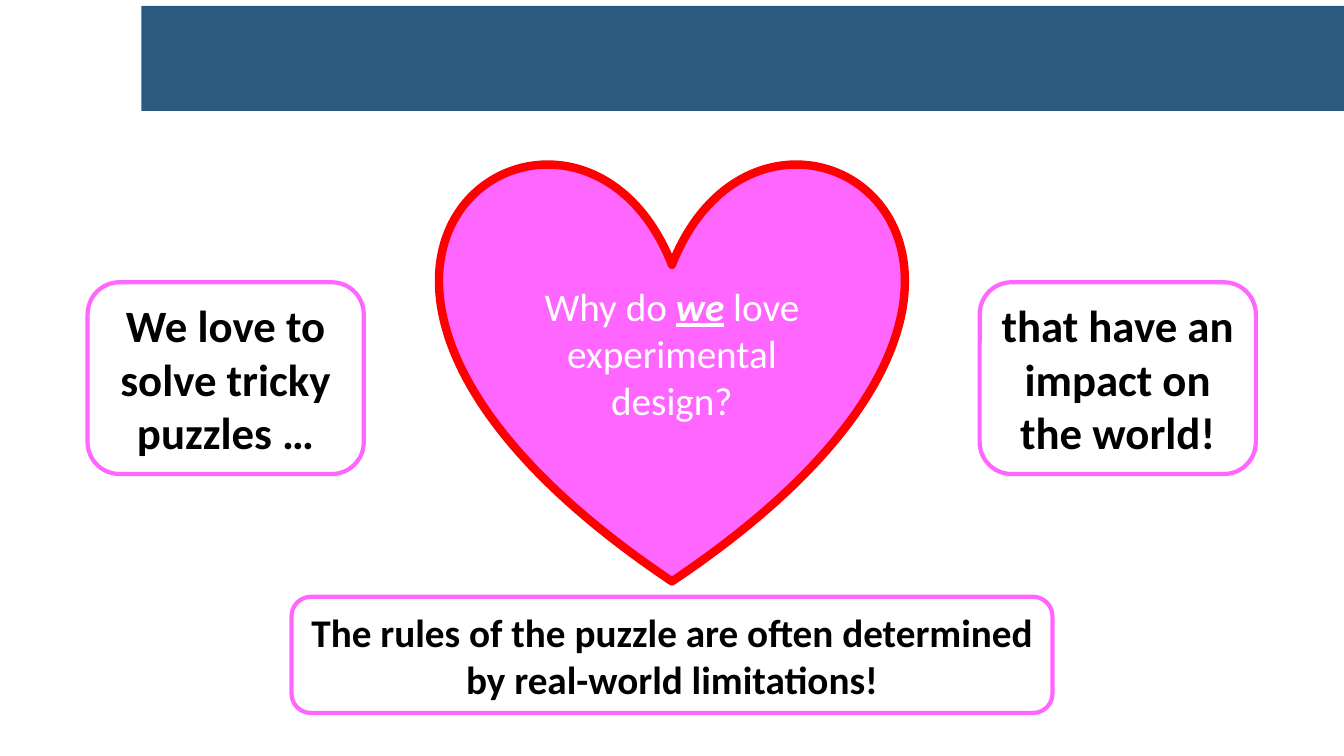
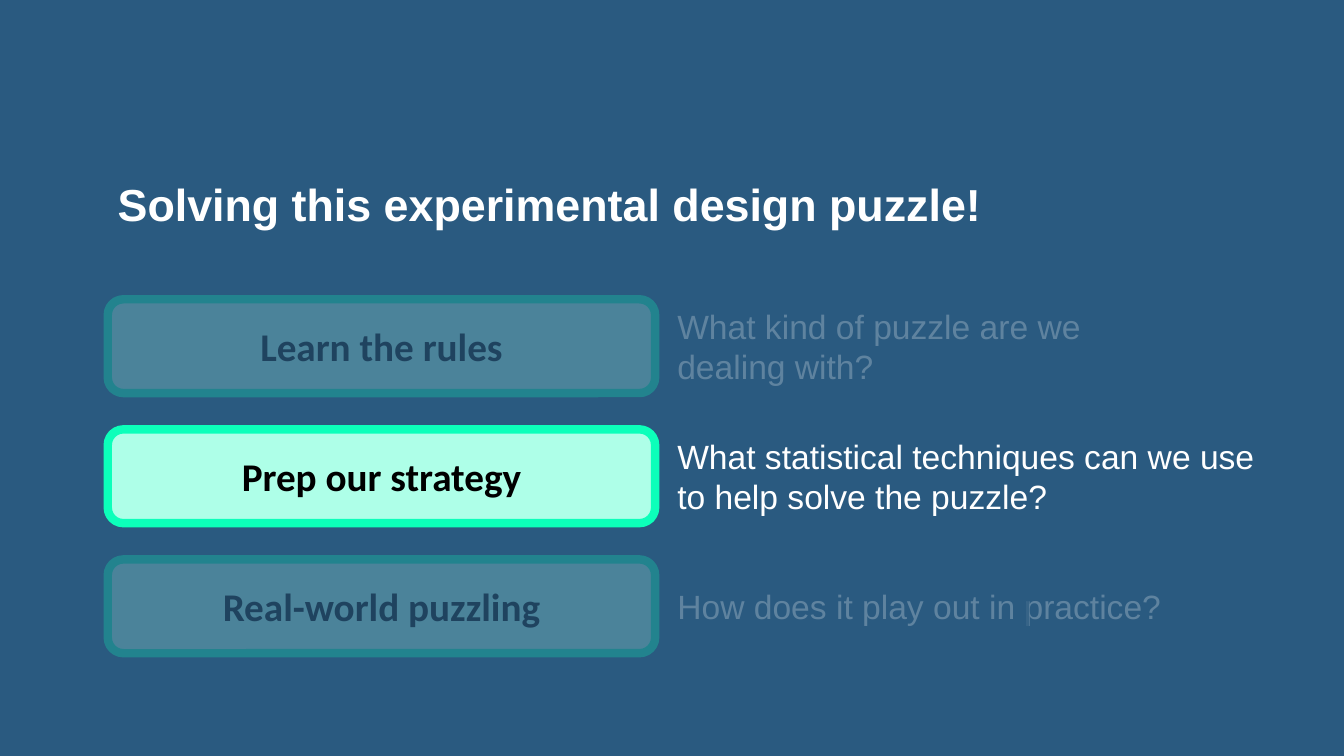
from dataclasses import dataclass

from lxml.etree import SubElement
from pptx import Presentation
from pptx.dml.color import RGBColor
from pptx.enum.shapes import MSO_SHAPE as Preset
from pptx.enum.text import MSO_ANCHOR as Anchor, PP_ALIGN as Align
from pptx.oxml.ns import qn
from pptx.util import Pt


@dataclass(frozen=True)
class Theme:
    blue: str = "2A5A80"
    white: str = "FFFFFF"
    black: str = "000000"
    pink: str = "FF66FF"
    red: str = "FF0000"
    mint: str = "AEFFE8"
    green: str = "0CFFBA"
    body_font: str = "Calibri"
    title_font: str = "Arial"
    large: int = 32
    medium: int = 28
    small: int = 24


theme = Theme()


def add_panel(slide, preset, box, fill=None, line=None, line_width=0):
    panel = slide.shapes.add_shape(preset, *map(Pt, box))
    panel.shadow.inherit = False
    if fill:
        panel.fill.solid()
        panel.fill.fore_color.rgb = RGBColor.from_string(fill)
    else:
        panel.fill.background()
    if line:
        panel.line.color.rgb = RGBColor.from_string(line)
        panel.line.width = Pt(line_width)
    else:
        panel.line.fill.background()
    return panel


def write(shape, runs, size, color, font, bold=False, align=Align.CENTER):
    frame = shape.text_frame
    frame.word_wrap = True
    frame.vertical_anchor = Anchor.MIDDLE
    paragraph = frame.paragraphs[0]
    paragraph.alignment = align
    paragraph.font.size = Pt(size)
    paragraph.font.name = font
    paragraph.font.bold = bold
    paragraph.font.color.rgb = RGBColor.from_string(color)
    for text in runs:
        paragraph.add_run().text = text
    return paragraph


prs = Presentation()
prs.slide_width, prs.slide_height = Pt(960), Pt(540)
blank = prs.slide_layouts[6]

# Slide 1: why we love experimental design
love = prs.slides.add_slide(blank)
add_panel(love, Preset.RECTANGLE, (101, 4.3, 859, 75), theme.blue)

heart = add_panel(love, Preset.HEART, (314.8, 113.8, 330.4, 301.5),
                  theme.pink, theme.red, 6)
question = write(heart, ["Why do ", "we", " love experimental design?"],
                 theme.medium, theme.white, theme.body_font)
emphasis = question.runs[1].font
emphasis.bold = emphasis.italic = emphasis.underline = True

# Reasons around the heart
reasons = [
    ("We love to solve tricky puzzles …", (62.6, 201.6, 197.3, 137), theme.large),
    ("that have an impact on the world!", (699.8, 201.6, 197.3, 137), theme.large),
    ("The rules of the puzzle are often determined by real-world limitations!",
     (208.2, 426.3, 543.6, 83), theme.medium),
]
for reason, box, size in reasons:
    reason_box = add_panel(love, Preset.ROUNDED_RECTANGLE, box, line=theme.pink, line_width=3)
    write(reason_box, [reason], size, theme.black, theme.body_font, bold=True)

# Slide 2: the steps, with the current one highlighted
steps_slide = prs.slides.add_slide(blank)
steps_slide.background.fill.solid()
steps_slide.background.fill.fore_color.rgb = RGBColor.from_string(theme.blue)

title = steps_slide.shapes.add_textbox(Pt(77), Pt(122.4), Pt(813.6), Pt(51))
heading = write(title, ["Solving this experimental design puzzle!"], theme.large,
                theme.white, theme.title_font, bold=True, align=Align.LEFT)
heading.line_spacing = 0.9

# Step boxes and their questions
first_top, row_pitch, step_height = 213.8, 92.9, 67
steps = [
    ("Learn the rules", "What kind of puzzle are we dealing with?", 370),
    ("Prep our strategy", "What statistical techniques can we use to help solve the puzzle?", 420),
    ("Real-world puzzling", "How does it play out in practice?", 370),
]
for row, (step, detail, detail_width) in enumerate(steps):
    top = first_top + row * row_pitch
    step_box = add_panel(steps_slide, Preset.ROUNDED_RECTANGLE,
                         (77, top, 391, step_height), theme.mint, theme.green, 6)
    write(step_box, [step], theme.medium, theme.black, theme.body_font, bold=True)
    detail_box = steps_slide.shapes.add_textbox(
        Pt(483.8), Pt(top + 4), Pt(detail_width), Pt(59))
    frame = detail_box.text_frame
    frame.margin_left = frame.margin_right = frame.margin_top = frame.margin_bottom = 0
    write(detail_box, [detail], theme.small, theme.white, theme.title_font, align=Align.LEFT)

# Translucent veils that dim the other steps
veils = [(43.2, 386.6, 692, 103.7), (733.7, 420.5, 98, 27.4), (56.2, 183.6, 738.7, 103)]
for box in veils:
    veil = add_panel(steps_slide, Preset.RECTANGLE, box, theme.blue)
    veil_color = veil.fill._xPr.find(qn("a:solidFill"))[0]
    SubElement(veil_color, qn("a:alpha"), val="75000")

prs.save("out.pptx")
